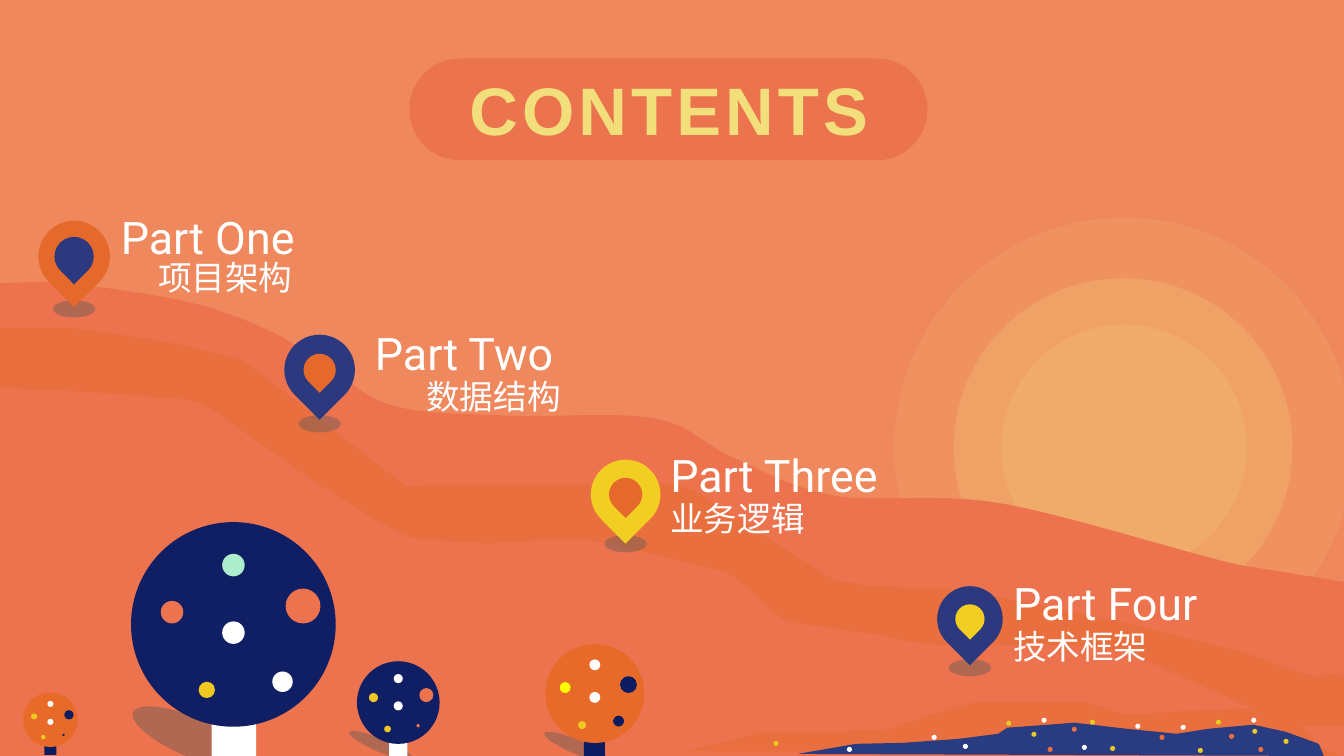
"""Build a contents slide: four map pins along a winding road at sunset."""
import dataclasses
import typing
import lxml.etree
import pptx
import pptx.dml.color
import pptx.enum.shapes
import pptx.enum.text
import pptx.oxml.ns
import pptx.shapes.autoshape
import pptx.slide
import pptx.util

COLUMNS, ROWS = 1333, 750
CELL = pptx.util.Inches(0.01)
KIND = pptx.enum.shapes.MSO_SHAPE
Outline = list[tuple[int, ...]]

@dataclasses.dataclass(frozen=True)
class Theme:
    sky: str = "EF885D"
    sun: str = "F1B06C"
    hill: str = "ED724E"
    road: str = "E96F3E"
    banner: str = "EB734E"
    mound: str = "293B81"
    navy: str = "0C1C60"
    crown: str = "101F64"
    pumpkin: str = "E76A28"
    gold: str = "EFC821"
    yellow: str = "FFFF00"
    mint: str = "ADEECC"
    speckle: str = "E6CB22"
    pin_blue: str = "2C397F"
    pin_orange: str = "E5692A"
    pin_yellow: str = "F1CE21"
    shade: str = "595959"
    white: str = "FFFFFF"
    title_color: str = "F3DE7C"
    title: tuple[str, int] = ("Arial", 48)
    heading: tuple[str, int] = ("Roboto", 32)
    subtitle: tuple[str, int] = ("Noto Sans CJK SC", 24)
    title_spacing: int = 300

class Box(typing.NamedTuple):
    column: float
    row: float
    columns: float
    rows: float

class Circle(typing.NamedTuple):
    column: float
    row: float
    size: float

    def box(self) -> Box:
        return Box(self.column - self.size / 2, self.row - self.size / 2, self.size, self.size)

class Tree(typing.NamedTuple):
    crown: Circle
    crown_color: str
    trunk: Box
    trunk_color: str
    shadow: Box | None
    fruit_colors: tuple[str, ...]
    low_fruit_share: float

class Pin(typing.NamedTuple):
    outer: Circle
    inner_size: float
    outer_color: str
    inner_color: str
    shadow_row: float
    heading: str
    heading_box: Box
    subtitle: str
    subtitle_box: Box

THEME = Theme()
WHITE, GOLD, HILL, NAVY = THEME.white, THEME.gold, THEME.hill, THEME.navy
FRUIT_SHARES = [Circle(0.5, 0.21, 0.11), Circle(0.2, 0.44, 0.11), Circle(0.37, 0.82, 0.08),
                Circle(0.84, 0.41, 0.17), Circle(0.5, 0.54, 0.11)]
TREES = [
    Tree(Circle(50, 714, 54), THEME.pumpkin, Box(44, 725, 12, 24), NAVY, None,
         (WHITE, GOLD, GOLD, NAVY, WHITE, NAVY), 0.04),
    Tree(Circle(231.5, 619.5, 203), THEME.crown, Box(210, 660, 44, 90), WHITE, Box(171, 668, 39, 127),
         (THEME.mint, HILL, GOLD, HILL, WHITE, WHITE), 0.1),
    Tree(Circle(395, 697, 82), THEME.crown, Box(386, 715, 18, 36), WHITE, Box(372, 705, 13, 70),
         (WHITE, GOLD, GOLD, HILL, WHITE, HILL), 0.04),
    Tree(Circle(590, 688, 98), THEME.pumpkin, Box(579, 707, 21, 43), NAVY, Box(565, 706, 14, 70),
         (WHITE, THEME.yellow, GOLD, NAVY, WHITE, NAVY), 0.11)]
PINS = [
    Pin(Circle(73.5, 254.5, 71), 39, THEME.pin_orange, THEME.pin_blue, 298,
        "Part One", Box(110, 203, 263, 64), "项目架构", Box(147, 250, 400, 50)),
    Pin(Circle(620.5, 490.5, 69), 33, THEME.pin_yellow, THEME.pin_orange, 531,
        "Part Three", Box(655, 439, 263, 64), "业务逻辑", Box(655, 489, 400, 91)),
    Pin(Circle(962, 614, 65), 29, THEME.pin_blue, THEME.pin_yellow, 654,
        "Part Four", Box(995, 566, 263, 64), "技术框架", Box(995, 616, 322, 50)),
    Pin(Circle(317, 367, 70), 32, THEME.pin_blue, THEME.pin_orange, 412,
        "Part Two", Box(362, 318, 263, 64), "数据结构", Box(413, 368, 400, 50))]
SPECKLES = {
    WHITE: [(840, 741), (955, 738), (1171, 719), (924, 729), (1126, 718), (1033, 712), (1073, 739), (1241, 712)],
    THEME.speckle: [(1188, 742), (1273, 733), (1023, 726), (1101, 740), (1081, 714), (1242, 723), (998, 715),
                    (767, 735), (1206, 714)],
    THEME.road: [(1150, 729), (1039, 741), (1061, 709), (896, 727), (1219, 728), (1063, 721), (809, 732),
                 (1248, 741)]}
SUN_HALO: Outline = [
    (1115, 216), (1217, 216, 1303, 283, 1332, 376), (1333, 381), (1333, 506), (1332, 511),
    (1303, 604, 1217, 671, 1115, 671), (989, 671, 887, 569, 887, 444), (887, 318, 989, 216, 1115, 216)]
FAR_HILL: Outline = [
    (34, 280), (43, 280, 53, 280, 65, 281), (96, 284, 153, 292, 188, 300), (222, 308, 245, 318, 269, 329),
    (292, 340, 307, 352, 327, 365), (347, 377, 360, 394, 388, 402), (415, 410, 450, 410, 494, 412),
    (537, 415, 609, 408, 648, 415), (687, 422, 697, 441, 727, 454), (757, 467, 784, 484, 829, 492),
    (874, 499, 928, 488, 996, 500), (1064, 512, 1206, 558, 1238, 562), (1331, 577), (1333, 577), (1333, 692),
    (1331, 750), (-2, 750), (-2, 281), (0, 281), (7, 281, 19, 280, 34, 280)]
ROAD: Outline = [
    (-2, 325), (67, 325), (103, 329, 171, 339, 204, 348), (238, 357, 226, 346, 267, 377), (388, 471),
    (416, 488, 384, 481, 438, 481), (598, 481), (642, 484, 665, 470, 704, 496), (823, 573),
    (867, 588, 928, 579, 969, 588), (1090, 612), (1135, 623, 1224, 644, 1242, 650), (1294, 669),
    (1309, 674, 1324, 665, 1332, 671), (1334, 673), (1333, 692), (1333, 748), (-2, 748), (-2, 325)]
NEAR_HILL: Outline = [
    (-2, 385), (2, 385), (26, 386, 102, 389, 138, 393), (173, 397, 189, 391, 217, 411), (300, 470),
    (333, 491, 396, 534, 417, 535), (479, 539), (510, 540, 564, 530, 602, 539), (717, 567),
    (748, 580, 764, 615, 788, 618), (858, 628), (884, 631, 904, 640, 940, 640), (1046, 640),
    (1078, 642, 1104, 642, 1135, 655), (1229, 697), (1256, 708, 1285, 720, 1298, 720), (1335, 720),
    (1335, 748), (1333, 748), (1333, 750), (-2, 748), (-2, 385)]
BACK_MOUND: Outline = [
    (673, 748), (752, 727), (819, 727), (883, 723), (935, 705), (971, 696), (1073, 696), (1117, 709),
    (1183, 705), (1235, 703), (1271, 700), (1312, 743), (1329, 750), (690, 745), (673, 748)]
FRONT_MOUND: Outline = [
    (791, 748), (849, 738), (896, 737), (951, 733), (990, 728), (999, 722), (1066, 717), (1117, 723),
    (1167, 728), (1199, 723), (1243, 719), (1275, 726), (1308, 738), (1313, 750), (791, 748)]

def paint(shape: pptx.shapes.autoshape.Shape, color: str, opacity: int = 100) -> None:
    shape.shadow.inherit = False
    shape.line.fill.background()
    shape.fill.solid()
    shape.fill.fore_color.rgb = pptx.dml.color.RGBColor.from_string(color)
    if opacity < 100:
        tone = shape.fill._xPr.find(".//" + pptx.oxml.ns.qn("a:srgbClr"))
        lxml.etree.SubElement(tone, pptx.oxml.ns.qn("a:alpha"), val=str(opacity * 1000))

def draw_shape(slide: pptx.slide.Slide, kind: KIND, box: Box, color: str, opacity: int = 100,
               rotation: float = 0) -> pptx.shapes.autoshape.Shape:
    shape = slide.shapes.add_shape(kind, *(round(length * CELL) for length in box))
    shape.rotation = rotation
    paint(shape, color, opacity)
    return shape

def draw_outline(slide: pptx.slide.Slide, outline: Outline, color: str, opacity: int = 100) -> None:
    builder = slide.shapes.build_freeform(*outline[0], scale=CELL)
    builder.add_line_segments([segment[-2:] for segment in outline[1:]], close=True)
    shape = builder.convert_to_shape()
    left, top = min(segment[-2] for segment in outline), min(segment[-1] for segment in outline)
    for line, segment in zip(list(shape._element.iter(pptx.oxml.ns.qn("a:lnTo"))), outline[1:]):
        if len(segment) == 6:
            curve = lxml.etree.Element(pptx.oxml.ns.qn("a:cubicBezTo"))
            for x, y in zip(segment[::2], segment[1::2]):
                lxml.etree.SubElement(curve, pptx.oxml.ns.qn("a:pt"), x=str(x - left), y=str(y - top))
            line.getparent().replace(line, curve)
    paint(shape, color, opacity)

def draw_text(slide: pptx.slide.Slide, box: Box, text: str, style: tuple[str, int],
              color: str = WHITE) -> pptx.shapes.autoshape.Shape:
    shape = slide.shapes.add_textbox(*(round(length * CELL) for length in box))
    shape.text_frame.word_wrap = True
    shape.text_frame.auto_size = pptx.enum.text.MSO_AUTO_SIZE.SHAPE_TO_FIT_TEXT
    paragraph = shape.text_frame.paragraphs[0]
    paragraph.text = text
    paragraph.font.name, paragraph.font.size = style[0], pptx.util.Pt(style[1])
    paragraph.font.color.rgb = pptx.dml.color.RGBColor.from_string(color)
    properties = paragraph._p.pPr.find(pptx.oxml.ns.qn("a:defRPr"))
    lxml.etree.SubElement(properties, pptx.oxml.ns.qn("a:ea"), typeface=style[0])
    if style == THEME.title:
        paragraph.alignment = pptx.enum.text.PP_ALIGN.CENTER
        paragraph.font.bold = True
        properties.set("spc", str(THEME.title_spacing))

def draw_tree(slide: pptx.slide.Slide, tree: Tree) -> None:
    if tree.shadow:
        draw_shape(slide, KIND.OVAL, tree.shadow, THEME.shade, 40, 293.2)
    draw_shape(slide, KIND.RECTANGLE, tree.trunk, tree.trunk_color)
    left, top, size, _ = crown = tree.crown.box()
    draw_shape(slide, KIND.OVAL, crown, tree.crown_color)
    for share, color in zip([*FRUIT_SHARES, Circle(0.74, 0.78, tree.low_fruit_share)], tree.fruit_colors):
        fruit = Circle(left + share.column * size, top + share.row * size, share.size * size)
        draw_shape(slide, KIND.OVAL, fruit.box(), color)

def draw_pin(slide: pptx.slide.Slide, pin: Pin) -> None:
    draw_shape(slide, KIND.OVAL, Box(pin.outer.column - 21, pin.shadow_row, 42, 17), THEME.shade, 40)
    for size, color in [(pin.outer.size, pin.outer_color), (pin.inner_size, pin.inner_color)]:
        draw_shape(slide, KIND.TEAR, pin.outer._replace(size=size).box(), color, rotation=135)
    draw_text(slide, pin.heading_box, pin.heading, THEME.heading)
    draw_text(slide, pin.subtitle_box, pin.subtitle, THEME.subtitle)

def main() -> None:
    presentation = pptx.Presentation()
    presentation.slide_width, presentation.slide_height = COLUMNS * CELL, ROWS * CELL
    slide = presentation.slides.add_slide(presentation.slide_layouts[6])
    slide.background.fill.solid()
    slide.background.fill.fore_color.rgb = pptx.dml.color.RGBColor.from_string(THEME.sky)
    draw_shape(slide, KIND.OVAL, Circle(1114, 444, 336).box(), THEME.sun, 50)
    draw_outline(slide, SUN_HALO, THEME.sun, 25)
    draw_shape(slide, KIND.OVAL, Circle(1115, 444, 244).box(), THEME.sun, 70)
    for outline, color in [(FAR_HILL, HILL), (ROAD, THEME.road), (NEAR_HILL, HILL),
                           (BACK_MOUND, THEME.road), (FRONT_MOUND, THEME.mound)]:
        draw_outline(slide, outline, color)
    for tree in TREES:
        draw_tree(slide, tree)
    for color, places in SPECKLES.items():
        for column, row in places:
            draw_shape(slide, KIND.OVAL, Box(column, row, 5, 5), color)
    for pin in PINS:
        draw_pin(slide, pin)
    draw_shape(slide, KIND.ROUNDED_RECTANGLE, Box(406, 58, 514, 101), THEME.banner).adjustments[0] = 0.5
    draw_text(slide, Box(427, 63, 473, 91), "CONTENTS", THEME.title, THEME.title_color)
    presentation.save("out.pptx")

if __name__ == "__main__":
    main()
